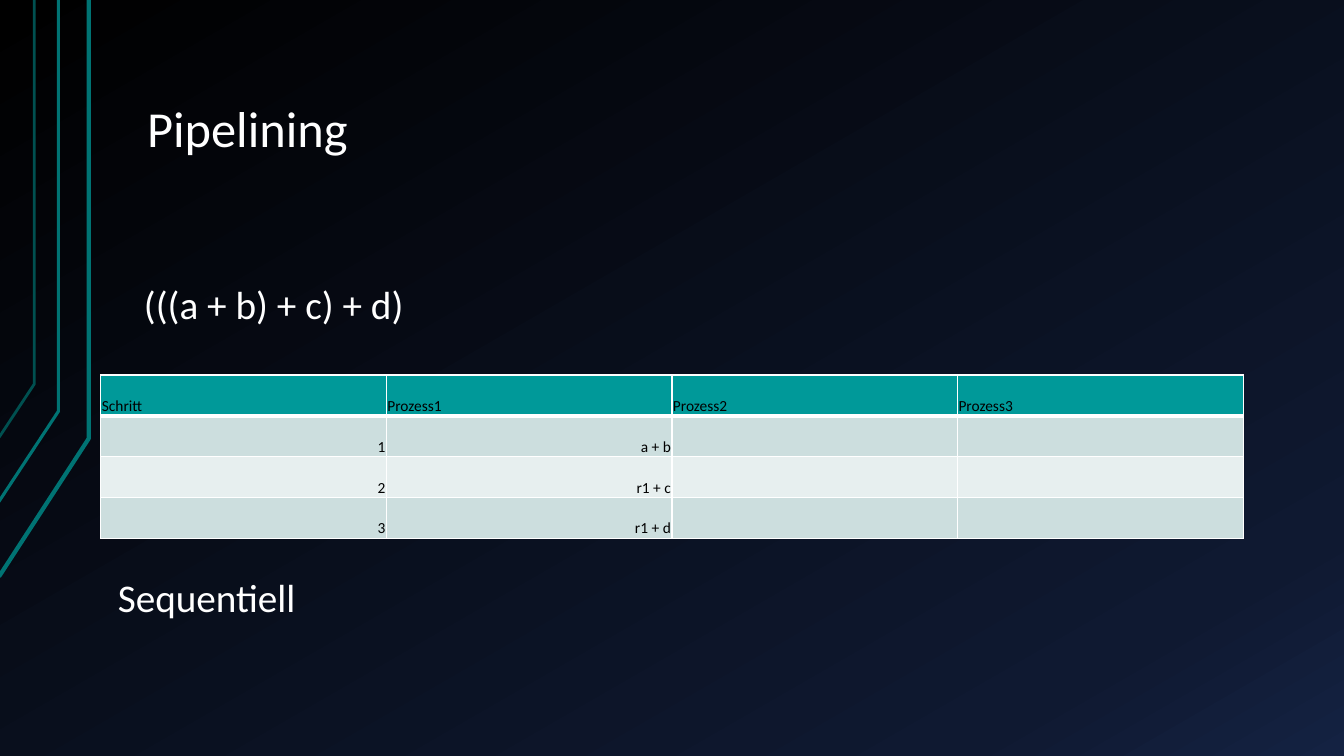
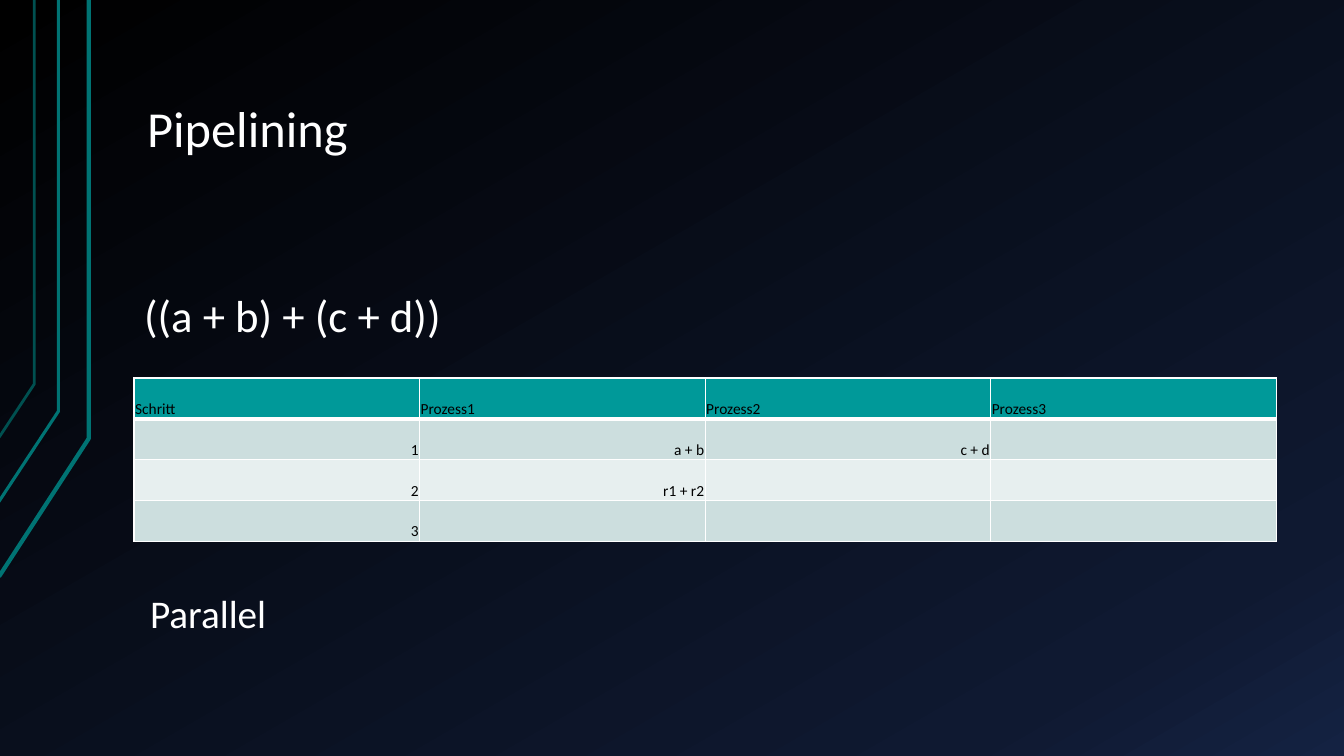
from copy import deepcopy

from lxml.etree import SubElement
from pptx import Presentation
from pptx.dml.color import RGBColor
from pptx.enum.text import MSO_ANCHOR, MSO_AUTO_SIZE, PP_ALIGN
from pptx.oxml.ns import qn
from pptx.util import Inches, Pt

# Shared style
WHITE = RGBColor(0xFF, 0xFF, 0xFF)
BLACK = RGBColor(0x00, 0x00, 0x00)
NAVY = RGBColor(0x0F, 0x19, 0x31)
BLUE = RGBColor(0x14, 0x22, 0x42)
TEAL = RGBColor(0x00, 0x73, 0x73)
DARK_TEAL = RGBColor(0x00, 0x50, 0x50)
HEADER = RGBColor(0x00, 0x99, 0x99)
BAND_DARK = RGBColor(0xCC, 0xDE, 0xDE)
BAND_LIGHT = RGBColor(0xE7, 0xEF, 0xEF)
FONT = "Calibri"

BACKGROUND_STOPS = [(0, BLACK), (0.85, NAVY), (1, BLUE)]
# Each trace: points from the left edge to the top, colour, line width
TRACES = [
    ([(-0.01, 5.72), (0.88, 4.35), (0.88, 0)], TEAL, 3),
    ([(-0.02, 4.99), (0.58, 4.08), (0.58, 0)], TEAL, 2.25),
    ([(-0.01, 4.34), (0.34, 3.81), (0.34, 0)], DARK_TEAL, 2),
]
COLUMNS = ["Schritt", "Prozess1", "Prozess2", "Prozess3"]


class Deck:
    def __init__(self):
        self.presentation = Presentation()
        self.presentation.slide_width = Inches(13.33)
        self.presentation.slide_height = Inches(7.5)
        self.slide = None

    def add_slide(self, title):
        blank = self.presentation.slide_layouts[6]
        self.slide = self.presentation.slides.add_slide(blank)
        self.background()
        for points, color, width in TRACES:
            self.trace(points, color, width)
        self.title(title)

    def background(self):
        fill = self.slide.background.fill
        fill.gradient()
        fill.gradient_angle = 300
        stop_list = self.slide.element.find(".//" + qn("a:gsLst"))
        stop_list.append(deepcopy(stop_list[0]))
        for stop, (position, color) in zip(fill.gradient_stops, BACKGROUND_STOPS):
            stop.position = position
            stop.color.rgb = color

    def trace(self, points, color, width):
        start, *rest = [(Inches(x), Inches(y)) for x, y in points]
        builder = self.slide.shapes.build_freeform(*start)
        builder.add_line_segments(rest, close=False)
        trace = builder.convert_to_shape()
        trace.shadow.inherit = False
        trace.fill.background()
        trace.line.color.rgb = color
        trace.line.width = Pt(width)

    def format_text(self, paragraph, size, color):
        for run in paragraph.runs:
            run.font.name = FONT
            run.font.size = Pt(size)
            run.font.color.rgb = color

    def text(self, text, left, top, width, height, size=28):
        box = self.slide.shapes.add_textbox(
            Inches(left), Inches(top), Inches(width), Inches(height))
        frame = box.text_frame
        frame.word_wrap = True
        frame.auto_size = MSO_AUTO_SIZE.SHAPE_TO_FIT_TEXT
        frame.text = text
        self.format_text(frame.paragraphs[0], size, WHITE)
        return frame

    def title(self, text):
        frame = self.text(text, 1.33, 0.3, 11.33, 1.34, size=36)
        frame.auto_size = MSO_AUTO_SIZE.NONE
        frame.vertical_anchor = MSO_ANCHOR.BOTTOM
        frame.margin_left = frame.margin_right = Inches(0.13)
        frame.margin_top = frame.margin_bottom = Inches(0.07)
        frame.paragraphs[0].line_spacing = 0.9

    def borders(self, cell, row):
        properties = cell._tc.get_or_add_tcPr()
        for side in ("lnL", "lnR", "lnT", "lnB"):
            below_header = (row, side) in ((0, "lnB"), (1, "lnT"))
            width = Pt(3 if below_header else 1)
            line = SubElement(properties, qn("a:" + side), w=str(width))
            solid = SubElement(line, qn("a:solidFill"))
            SubElement(solid, qn("a:srgbClr"), val=str(WHITE))

    def schedule(self, steps, left, top):
        rows = [COLUMNS] + steps
        table = self.slide.shapes.add_table(
            len(rows), len(COLUMNS), Inches(left), Inches(top),
            Inches(11.33), Inches(1.62)).table
        for row, texts in enumerate(rows):
            band = BAND_DARK if row % 2 else BAND_LIGHT
            for column, text in enumerate(texts):
                cell = table.cell(row, column)
                self.borders(cell, row)
                cell.fill.solid()
                cell.fill.fore_color.rgb = band if row else HEADER
                cell.vertical_anchor = MSO_ANCHOR.BOTTOM
                cell.margin_left = cell.margin_right = Inches(0.01)
                cell.margin_top = Inches(0.01)
                cell.margin_bottom = 0
                paragraph = cell.text_frame.paragraphs[0]
                paragraph.text = text
                paragraph.alignment = PP_ALIGN.RIGHT if row else PP_ALIGN.LEFT
                self.format_text(paragraph, 11, BLACK)


deck = Deck()

# Sequential evaluation
deck.add_slide("Pipelining")
deck.schedule([["1", "a + b", "", ""],
               ["2", "r1 + c", "", ""],
               ["3", "r1 + d", "", ""]], 1, 3.72)
deck.text("(((a + b) + c) + d)", 1.33, 2.73, 10.53, 0.57)
deck.text("Sequentiell", 1.07, 5.64, 5.59, 0.57)

# Parallel evaluation
deck.add_slide("Pipelining")
deck.schedule([["1", "a + b", "c + d", ""],
               ["2", "r1 + r2", "", ""],
               ["3", "", "", ""]], 1.33, 3.75)
deck.text("((a + b) + (c + d))", 1.33, 2.81, 6.12, 0.64, size=32)
deck.text("Parallel", 1.39, 5.8, 6.54, 0.57)

deck.presentation.save("out.pptx")
